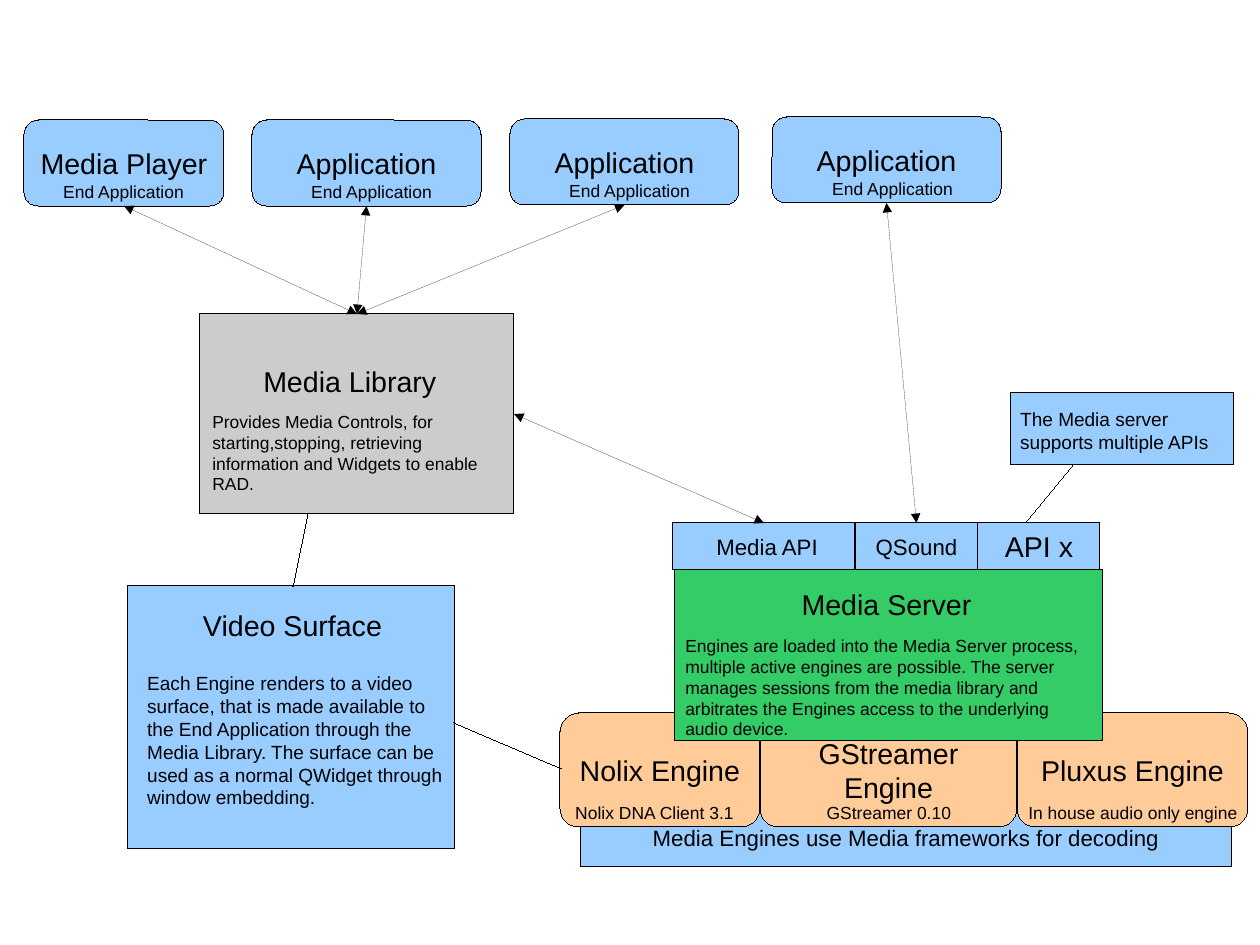
from lxml import etree
from pptx import Presentation
from pptx.dml.color import RGBColor
from pptx.enum.shapes import MSO_CONNECTOR as Connector, MSO_SHAPE as Shape
from pptx.enum.text import MSO_ANCHOR as Anchor, MSO_AUTO_SIZE as AutoSize, PP_ALIGN as Align
from pptx.oxml.ns import qn
from pptx.util import Emu, Pt

PX = 8000  # 1260 px span 28 cm
FONT = "Arial"
COLORS = {
    "ink": "000000",
    "blue": "99CCFF",
    "grey": "CCCCCD",
    "orange": "FFCC99",
    "green": "33CC66",
}
TOP, BOTTOM, RIGHT = 0, 2, 3  # connection sites of a box


def px(*lengths):
    return [Emu(length * PX) for length in lengths]


def rgb(name):
    return RGBColor.from_string(COLORS[name])


def write(frame, text, size=18, align=Align.LEFT, anchor=Anchor.TOP):
    frame.word_wrap = True
    frame.vertical_anchor = anchor
    paragraph = frame.paragraphs[0]
    paragraph.alignment = align
    run = paragraph.add_run()
    run.text = text
    run.font.name = FONT
    run.font.size = Pt(size)
    run.font.color.rgb = rgb("ink")


def hairline(line):
    """Zero width has to be written out, or the theme's width applies."""
    line.color.rgb = rgb("ink")
    outline = line._get_or_add_ln()
    outline.set("w", "0")
    return outline


def box(slide, area, color, text=None, size=18, kind=Shape.RECTANGLE):
    block = slide.shapes.add_shape(kind, *px(*area))
    block.shadow.inherit = False
    block.fill.solid()
    block.fill.fore_color.rgb = rgb(color)
    hairline(block.line)
    if text:
        write(block.text_frame, text, size=size, align=Align.CENTER, anchor=Anchor.MIDDLE)
    return block


def label(slide, area, text, **style):
    frame = slide.shapes.add_textbox(*px(*area)).text_frame
    write(frame, text, **style)
    frame.auto_size = AutoSize.SHAPE_TO_FIT_TEXT


def link(slide, start, end):
    connector = slide.shapes.add_connector(Connector.STRAIGHT, *px(*start, *end))
    hairline(connector.line)
    etree.SubElement(connector._element.spPr, qn("a:effectLst"))
    return connector


def arrow(slide, source, source_site, target, target_site):
    """Double-headed arrow glued to two boxes."""
    connector = link(slide, (0, 0), (0, 0))
    connector.begin_connect(source, source_site)
    connector.end_connect(target, target_site)
    outline = connector.line._get_or_add_ln()
    for tag in ("a:headEnd", "a:tailEnd"):
        etree.SubElement(outline, qn(tag), type="triangle")


def application(slide, left, top, width, name, caption_shift):
    block = box(slide, (left, top, width, 86), "blue", name, kind=Shape.ROUNDED_RECTANGLE)
    label(slide, (left + caption_shift, top + 55, 171, 35), "End Application", size=11)
    return block


def add_engines(slide):
    box(slide, (580, 809, 652, 58), "blue",
        "Media Engines use Media frameworks for decoding", size=14)
    engines = [
        (560, 200, "Nolix Engine", 564, 195, "Nolix DNA Client 3.1", Align.LEFT),
        (760, 257, "GStreamer Engine", 761, 256, "GStreamer 0.10", Align.CENTER),
        (1017, 231, "Pluxus Engine", 1017, 257, "In house audio only engine", Align.LEFT),
    ]
    for left, width, name, note_left, note_width, note, align in engines:
        box(slide, (left, 713, width, 114), "orange", name, kind=Shape.ROUNDED_RECTANGLE)
        label(slide, (note_left, 796, note_width, 35), note, size=11, align=align)


def add_server(slide):
    box(slide, (674, 570, 429, 171), "green")
    label(slide, (673, 581, 427, 50), "Media Server", align=Align.CENTER)
    label(slide, (674, 629, 429, 130),
          "Engines are loaded into the Media Server process, multiple active engines "
          "are possible. The server manages sessions from the media library and "
          "arbitrates the Engines access to the underlying audio device.", size=11)
    apis = [(673, 182, " Media API", 14), (855, 123, "QSound", 14), (978, 122, "API x", 18)]
    return [box(slide, (left, 523, width, 47), "blue", name, size=size)
            for left, width, name, size in apis]


def add_library(slide):
    library = box(slide, (200, 314, 314, 200), "grey")
    label(slide, (252, 358, 255, 50), "Media Library")
    label(slide, (201, 405, 312, 111),
          "Provides Media Controls, for starting,stopping, retrieving information "
          "and Widgets to enable RAD.", size=11)
    return library


def add_video_surface(slide):
    box(slide, (128, 586, 327, 263), "blue")
    label(slide, (130, 602, 325, 50), "Video Surface", align=Align.CENTER)
    label(slide, (136, 666, 318, 193),
          "Each Engine renders to a video surface, that is made available to the End "
          "Application through the Media Library. The surface can be used as a normal "
          "QWidget through window embedding.", size=12)


def add_api_note(slide):
    box(slide, (1011, 393, 223, 72), "blue")
    label(slide, (1009, 402, 222, 89), "The Media server supports multiple APIs", size=12)


def main():
    deck = Presentation()
    deck.slide_width, deck.slide_height = px(1260, 945)
    slide = deck.slides.add_slide(deck.slide_layouts[6])

    add_engines(slide)
    media_api, qsound, _ = add_server(slide)
    library = add_library(slide)
    add_video_surface(slide)
    add_api_note(slide)

    *library_clients, sound_client = [
        application(slide, *details) for details in (
            (24, 120, 200, "Media Player", 28),
            (252, 120, 229, "Application", 48),
            (510, 119, 229, "Application", 48),
            (772, 117, 229, "Application", 49),
        )
    ]
    for client in library_clients:
        arrow(slide, client, BOTTOM, library, TOP)
    arrow(slide, sound_client, BOTTOM, qsound, TOP)
    arrow(slide, library, RIGHT, media_api, TOP)

    surface_to_engine = (454, 723), (562, 769)
    surface_to_library = (293, 587), (308, 514)
    api_to_note = (1026, 522), (1073, 465)
    for ends in (surface_to_engine, surface_to_library, api_to_note):
        link(slide, *ends)

    deck.save("out.pptx")


if __name__ == "__main__":
    main()
